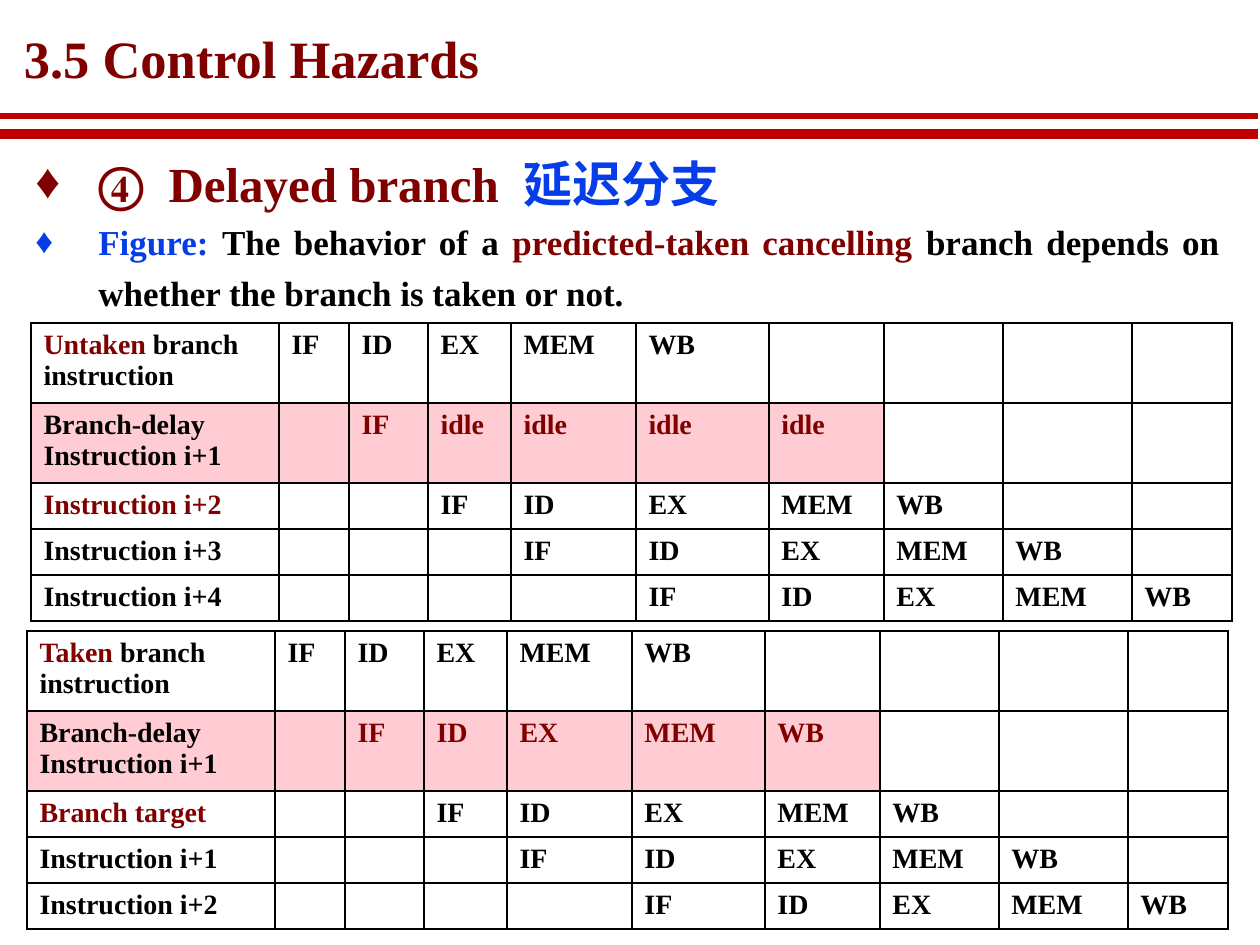
from lxml import etree
from pptx import Presentation
from pptx.dml.color import RGBColor
from pptx.enum.shapes import MSO_CONNECTOR
from pptx.enum.text import MSO_AUTO_SIZE, PP_ALIGN
from pptx.oxml.ns import qn
from pptx.util import Emu, Pt

STRAIGHT = MSO_CONNECTOR.STRAIGHT
JUSTIFY = PP_ALIGN.JUSTIFY
NO_AUTOFIT = MSO_AUTO_SIZE.NONE

FONT = "Times New Roman"
COLORS = {"maroon": "800000", "rule": "C00000", "blue": "063DE8",
          "black": "000000", "pink": "FFCCD4"}

TITLE = [("3.5 Control Hazards", "maroon")]
RULES = [(134, 6), (116, 3)]
BULLETS = [
    (28, [("④  Delayed branch ", "maroon"), (" 延迟分支", "blue")]),
    (20, [("Figure: ", "blue"), ("The behavior of a ", "black"),
          ("predicted-taken cancelling", "maroon"),
          (" branch depends on whether the branch is taken or not.", "black")]),
]

STAGES = ["IF", "ID", "EX", "MEM", "WB"]
DELAY_SLOT = [("Branch-delay Instruction i+1", "black")]
PIPELINES = [
    (31, 323, [
        ([("Untaken", "maroon"), (" branch instruction", "black")], STAGES),
        (DELAY_SLOT, ["IF"] + ["idle"] * 4),
        ([("Instruction i+2", "maroon")], STAGES),
        ([("Instruction i+3", "black")], STAGES),
        ([("Instruction i+4", "black")], STAGES),
    ]),
    (27, 631, [
        ([("Taken", "maroon"), (" branch instruction", "black")], STAGES),
        (DELAY_SLOT, STAGES),
        ([("Branch target", "maroon")], STAGES),
        ([("Instruction i+1", "black")], STAGES),
        ([("Instruction i+2", "black")], STAGES),
    ]),
]
COLUMN_WIDTHS = [248, 70, 79, 83, 125, 133, 115, 119, 129, 100]
ROW_HEIGHTS = [80, 80, 46, 46, 46]
DELAY_ROW = 1


def px(n):
    return Emu(round(n * 914400 / 126))


def rgb(name):
    return RGBColor.from_string(COLORS[name])


def write(paragraph, pieces, size):
    paragraph.font.name = FONT
    paragraph.font.size = Pt(size)
    paragraph.font.bold = True
    for text, color in pieces:
        run = paragraph.add_run()
        run.text = text
        run.font.color.rgb = rgb(color)


def add_text_frame(slide, left, top, width, height, wrap):
    frame = slide.shapes.add_textbox(px(left), px(top), px(width), px(height)).text_frame
    frame.word_wrap = wrap
    frame.auto_size = NO_AUTOFIT
    return frame


def add_bullet(paragraph, color):
    props = paragraph._p.get_or_add_pPr()
    props.set("marL", str(px(63)))
    props.set("indent", str(px(-63)))
    tint = etree.SubElement(props, qn("a:buClr"))
    etree.SubElement(tint, qn("a:srgbClr"), val=COLORS[color])
    etree.SubElement(props, qn("a:buFont"), typeface=FONT)
    etree.SubElement(props, qn("a:buChar"), char="♦")


def add_rule(slide, y, weight):
    rule = slide.shapes.add_connector(STRAIGHT, px(-2), px(y), px(1258), px(y))
    rule.line.color.rgb = rgb("rule")
    rule.line.width = Pt(weight)
    etree.SubElement(rule._element.spPr, qn("a:effectLst"))


def add_borders(cell):
    props = cell._tc.get_or_add_tcPr()
    for side in ("lnL", "lnR", "lnT", "lnB"):
        border = etree.SubElement(props, qn("a:" + side), w=str(Pt(1)))
        fill = etree.SubElement(border, qn("a:solidFill"))
        etree.SubElement(fill, qn("a:srgbClr"), val=COLORS["black"])


def add_pipeline(slide, left, top, instructions):
    table = slide.shapes.add_table(
        len(ROW_HEIGHTS), len(COLUMN_WIDTHS), px(left), px(top),
        px(sum(COLUMN_WIDTHS)), px(sum(ROW_HEIGHTS))).table
    for column, width in zip(table.columns, COLUMN_WIDTHS):
        column.width = px(width)
    for r, (label, stages) in enumerate(instructions):
        table.rows[r].height = px(ROW_HEIGHTS[r])
        stage_color = "maroon" if r == DELAY_ROW else "black"
        contents = {0: label}
        for cycle, stage in enumerate(stages, start=r + 1):
            contents[cycle] = [(stage, stage_color)]
        for c in range(len(COLUMN_WIDTHS)):
            cell = table.cell(r, c)
            add_borders(cell)
            if r == DELAY_ROW and c <= r + len(stages):
                cell.fill.solid()
                cell.fill.fore_color.rgb = rgb("pink")
            else:
                cell.fill.background()
            paragraph = cell.text_frame.paragraphs[0]
            write(paragraph, contents.get(c, []), 16)
            etree.SubElement(paragraph._p, qn("a:endParaRPr"), sz="1600")


def main():
    deck = Presentation()
    deck.slide_width, deck.slide_height = px(1260), px(945)
    slide = deck.slides.add_slide(deck.slide_layouts[6])

    heading = add_text_frame(slide, 15, 31, 479, 63, False)
    heading.margin_left = heading.margin_right = px(9)
    heading.margin_top = heading.margin_bottom = px(4)
    heading.paragraphs[0].line_spacing = 0.87
    write(heading.paragraphs[0], TITLE, 30)

    for y, weight in RULES:
        add_rule(slide, y, weight)

    body = add_text_frame(slide, 23, 155, 1209, 218, True)
    for i, (size, pieces) in enumerate(BULLETS):
        paragraph = body.add_paragraph() if i else body.paragraphs[0]
        paragraph.alignment = JUSTIFY
        paragraph.line_spacing = Pt(29)
        add_bullet(paragraph, pieces[0][1])
        write(paragraph, pieces, size)

    for left, top, instructions in PIPELINES:
        add_pipeline(slide, left, top, instructions)

    deck.save("out.pptx")


if __name__ == "__main__":
    main()
